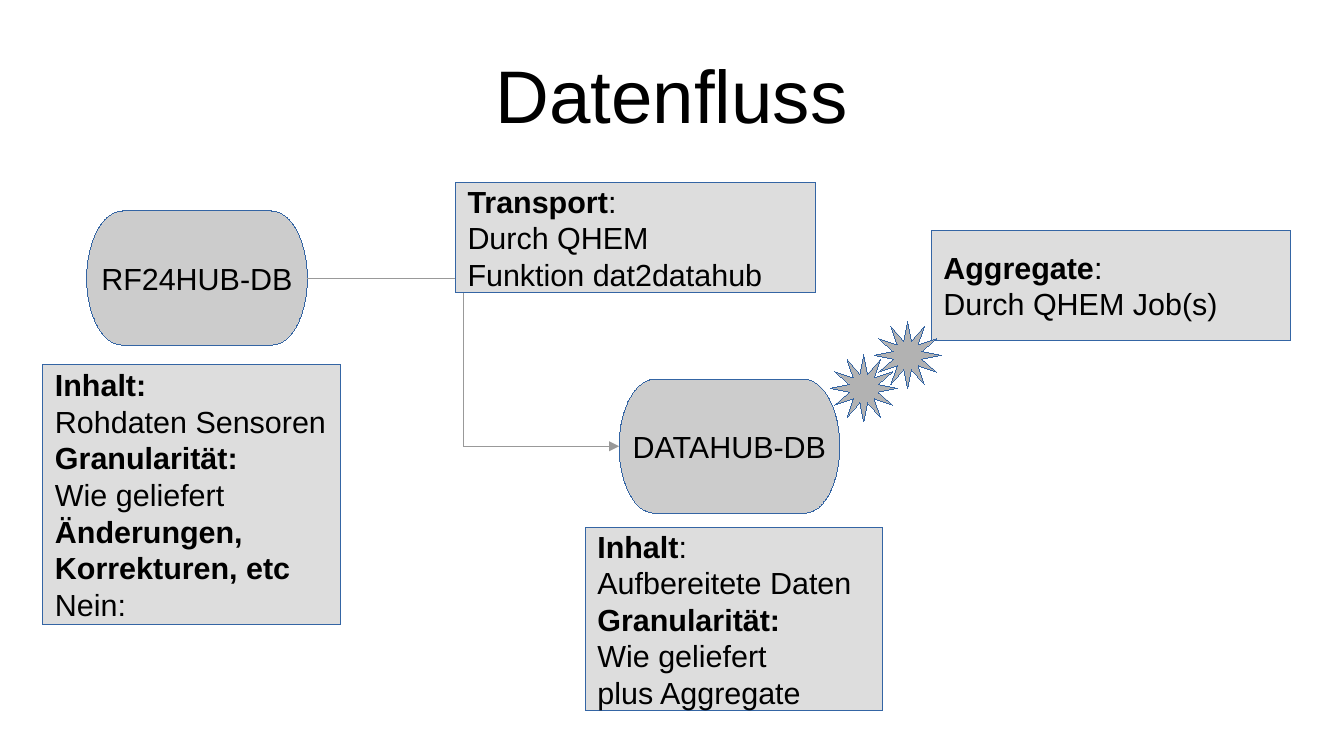
from dataclasses import dataclass

from lxml.etree import SubElement
from pptx import Presentation
from pptx.dml.color import RGBColor
from pptx.enum.shapes import MSO_CONNECTOR, MSO_SHAPE
from pptx.enum.text import MSO_ANCHOR, MSO_AUTO_SIZE, PP_ALIGN
from pptx.oxml.ns import qn
from pptx.util import Pt


@dataclass(frozen=True)
class Theme:
    font: str = "Arial"
    title_size: float = 44
    body_size: float = 18
    hairline: float = 0.01
    text: RGBColor = RGBColor(0x00, 0x00, 0x00)
    outline: RGBColor = RGBColor(0x34, 0x65, 0xA4)
    database: RGBColor = RGBColor(0xCC, 0xCC, 0xCC)
    note: RGBColor = RGBColor(0xDD, 0xDD, 0xDD)
    star: RGBColor = RGBColor(0xB2, 0xB2, 0xB2)
    arrow: RGBColor = RGBColor(0x99, 0x99, 0x99)


class FlowSlide:
    def __init__(self, presentation, theme):
        self.theme = theme
        self.slide = presentation.slides.add_slide(presentation.slide_layouts[5])

    def style_paragraph(self, paragraph, size, alignment):
        paragraph.alignment = alignment
        paragraph.font.name = self.theme.font
        paragraph.font.size = Pt(size)
        paragraph.font.color.rgb = self.theme.text

    def style_line(self, line, color):
        line.color.rgb = color
        line.width = Pt(self.theme.hairline)

    def title(self, text, left, top, width, height):
        title = self.slide.shapes.title
        title.left, title.top, title.width, title.height = map(Pt, (left, top, width, height))
        frame = title.text_frame
        frame.text = text
        frame.auto_size = MSO_AUTO_SIZE.NONE
        frame.vertical_anchor = MSO_ANCHOR.MIDDLE
        frame.margin_left = frame.margin_right = frame.margin_top = frame.margin_bottom = 0
        self.style_paragraph(frame.paragraphs[0], self.theme.title_size, PP_ALIGN.CENTER)

    def shape(self, kind, fill, left, top, width, height):
        shape = self.slide.shapes.add_shape(kind, *map(Pt, (left, top, width, height)))
        shape.shadow.inherit = False
        shape.fill.solid()
        shape.fill.fore_color.rgb = fill
        self.style_line(shape.line, self.theme.outline)
        return shape

    def database(self, name, left, top):
        shape = self.shape(MSO_SHAPE.FLOWCHART_TERMINATOR, self.theme.database, left, top, 130.3, 79.2)
        frame = shape.text_frame
        frame.text = name
        frame.word_wrap = False
        frame.vertical_anchor = MSO_ANCHOR.MIDDLE
        self.style_paragraph(frame.paragraphs[0], self.theme.body_size, PP_ALIGN.CENTER)
        return shape

    def note(self, lines, left, top, width, height):
        frame = self.shape(MSO_SHAPE.RECTANGLE, self.theme.note, left, top, width, height).text_frame
        frame.word_wrap = True
        frame.margin_right = 0
        frame.vertical_anchor = MSO_ANCHOR.MIDDLE
        for index, (bold_text, plain_text) in enumerate(lines):
            paragraph = frame.add_paragraph() if index else frame.paragraphs[0]
            self.style_paragraph(paragraph, self.theme.body_size, PP_ALIGN.LEFT)
            for text, bold in ((bold_text, True), (plain_text, False)):
                if text:
                    run = paragraph.add_run()
                    run.text = text
                    run.font.bold = bold

    def star(self, left, top):
        star = self.shape(MSO_SHAPE.STAR_12_POINT, self.theme.star, left, top, 39.6, 39.6)
        star.adjustments[0] = 0.22

    def arrow(self, source, target):
        connector = self.slide.shapes.add_connector(MSO_CONNECTOR.ELBOW, 0, 0, 0, 0)
        connector.begin_connect(source, 3)
        connector.end_connect(target, 1)
        self.style_line(connector.line, self.theme.arrow)
        properties = connector._element.spPr
        SubElement(properties.find(qn("a:ln")), qn("a:tailEnd"), type="triangle")
        SubElement(properties, qn("a:effectLst"))


def main():
    presentation = Presentation()
    presentation.slide_width, presentation.slide_height = Pt(793.7), Pt(446.4)
    flow = FlowSlide(presentation, Theme())

    flow.title("Datenfluss", 39.6, 18, 714.3, 74.9)
    raw_database = flow.database("RF24HUB-DB", 51.2, 124.6)
    hub_database = flow.database("DATAHUB-DB", 365.6, 223.9)
    flow.note(
        [
            ("Inhalt:", ""),
            ("", "Rohdaten Sensoren"),
            ("Granularität:", ""),
            ("", "Wie geliefert"),
            ("Änderungen,", ""),
            ("Korrekturen, etc", ""),
            ("", "Nein:"),
        ],
        25.4, 215.3, 175.7, 153.2,
    )
    flow.note(
        [
            ("Inhalt", ":"),
            ("", "Aufbereitete Daten"),
            ("Granularität:", ""),
            ("", "Wie geliefert"),
            ("", "plus Aggregate"),
        ],
        345.7, 311.6, 175.7, 108,
    )
    flow.arrow(raw_database, hub_database)
    flow.note(
        [("Transport", ":"), ("", "Durch QHEM"), ("", "Funktion dat2datahub")],
        269, 107.8, 212.4, 65.2,
    )
    flow.note([("Aggregate", ":"), ("", "Durch QHEM Job(s)")], 550, 136, 212.4, 65.2)
    for left, top in ((490.3, 209.5), (516.2, 190)):
        flow.star(left, top)

    presentation.save("out.pptx")


if __name__ == "__main__":
    main()
